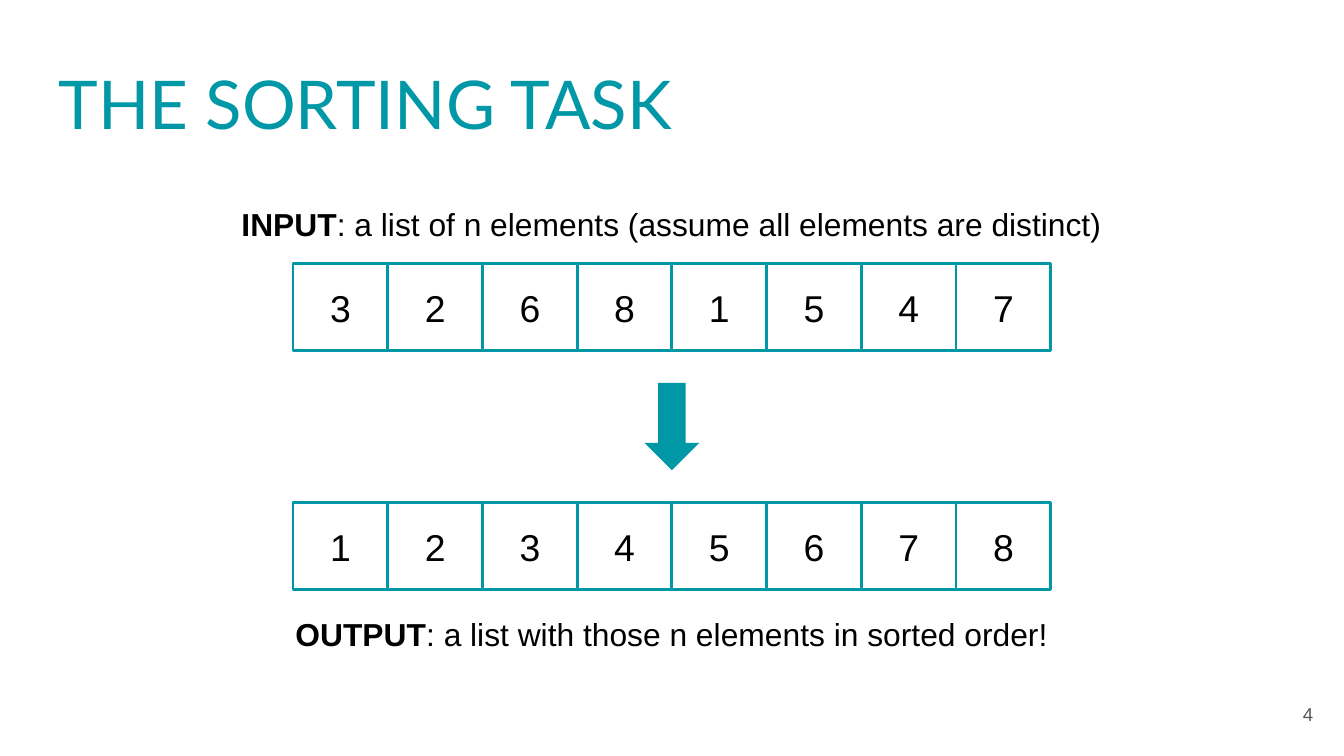
from dataclasses import dataclass

from pptx import Presentation
from pptx.dml.color import RGBColor
from pptx.enum.shapes import MSO_SHAPE
from pptx.enum.text import MSO_ANCHOR, PP_ALIGN
from pptx.util import Cm, Pt


@dataclass(frozen=True)
class Theme:
    accent: RGBColor = RGBColor(0x00, 0x97, 0xA7)
    ink: RGBColor = RGBColor(0x00, 0x00, 0x00)
    paper: RGBColor = RGBColor(0xFF, 0xFF, 0xFF)
    muted: RGBColor = RGBColor(0x59, 0x59, 0x59)
    heading_font: str = "Lato"
    body_font: str = "Arial"
    title_size: int = 36
    cell_size: int = 20
    caption_size: int = 17
    number_size: int = 10
    border_width: float = 1.5


SLIDE_WIDTH = 25.4
SLIDE_HEIGHT = 14.29
CELL_WIDTH = 1.79
CELL_HEIGHT = 1.65


class SlideBuilder:
    def __init__(self, slide, theme):
        self.slide = slide
        self.theme = theme

    def style_text(self, shape, size, color, font, align, anchor=MSO_ANCHOR.MIDDLE):
        frame = shape.text_frame
        frame.word_wrap = True
        frame.vertical_anchor = anchor
        frame.margin_left = frame.margin_right = Cm(0.25)
        frame.margin_top = frame.margin_bottom = Cm(0.25)
        for paragraph in frame.paragraphs:
            paragraph.alignment = align
            for run in paragraph.runs:
                run.font.size = Pt(size)
                run.font.color.rgb = color
                run.font.name = font

    def text_box(self, text, left, top, width, height):
        box = self.slide.shapes.add_textbox(Cm(left), Cm(top), Cm(width), Cm(height))
        box.text_frame.text = text
        return box

    def filled_shape(self, kind, left, top, width, height, color):
        shape = self.slide.shapes.add_shape(
            kind, Cm(left), Cm(top), Cm(width), Cm(height)
        )
        shape.shadow.inherit = False
        shape.fill.solid()
        shape.fill.fore_color.rgb = color
        return shape

    def title(self, text):
        box = self.text_box(text, 0.86, 1.04, 23.67, 1.8)
        theme = self.theme
        self.style_text(
            box, theme.title_size, theme.accent, theme.heading_font, PP_ALIGN.LEFT
        )

    def caption(self, label, description, top, anchor):
        width = 20.17
        box = self.text_box(label, (SLIDE_WIDTH - width) / 2, top, width, 1.04)
        paragraph = box.text_frame.paragraphs[0]
        paragraph.runs[0].font.bold = True
        paragraph.add_run().text = description
        theme = self.theme
        self.style_text(
            box, theme.caption_size, theme.ink, theme.body_font, PP_ALIGN.CENTER, anchor
        )

    def number_row(self, values, top):
        theme = self.theme
        row_left = (SLIDE_WIDTH - len(values) * CELL_WIDTH) / 2
        for index, value in enumerate(values):
            left = row_left + index * CELL_WIDTH
            cell = self.filled_shape(
                MSO_SHAPE.RECTANGLE, left, top, CELL_WIDTH, CELL_HEIGHT, theme.paper
            )
            cell.line.color.rgb = theme.accent
            cell.line.width = Pt(theme.border_width)
            cell.text_frame.text = str(value)
            self.style_text(
                cell, theme.cell_size, theme.ink, theme.body_font, PP_ALIGN.CENTER
            )

    def down_arrow(self, top):
        width = 1.04
        arrow = self.filled_shape(
            MSO_SHAPE.DOWN_ARROW,
            (SLIDE_WIDTH - width) / 2,
            top,
            width,
            CELL_HEIGHT,
            self.theme.accent,
        )
        arrow.line.fill.background()

    def slide_number(self, number):
        box = self.text_box(str(number), 23.55, 12.95, 1.52, 1.09)
        theme = self.theme
        self.style_text(
            box, theme.number_size, theme.muted, theme.body_font, PP_ALIGN.RIGHT
        )


def main():
    presentation = Presentation()
    presentation.slide_width = Cm(SLIDE_WIDTH)
    presentation.slide_height = Cm(SLIDE_HEIGHT)
    slide = presentation.slides.add_slide(presentation.slide_layouts[6])
    builder = SlideBuilder(slide, Theme())

    numbers = [3, 2, 6, 8, 1, 5, 4, 7]
    builder.title("THE SORTING TASK")
    builder.number_row(numbers, 4.98)
    builder.number_row(sorted(numbers), 9.5)
    builder.caption(
        "INPUT",
        ": a list of n elements (assume all elements are distinct)",
        3.71,
        MSO_ANCHOR.MIDDLE,
    )
    builder.caption(
        "OUTPUT",
        ": a list with those n elements in sorted order!",
        11.38,
        MSO_ANCHOR.TOP,
    )
    builder.down_arrow(7.24)
    builder.slide_number(4)
    presentation.save("out.pptx")


if __name__ == "__main__":
    main()
